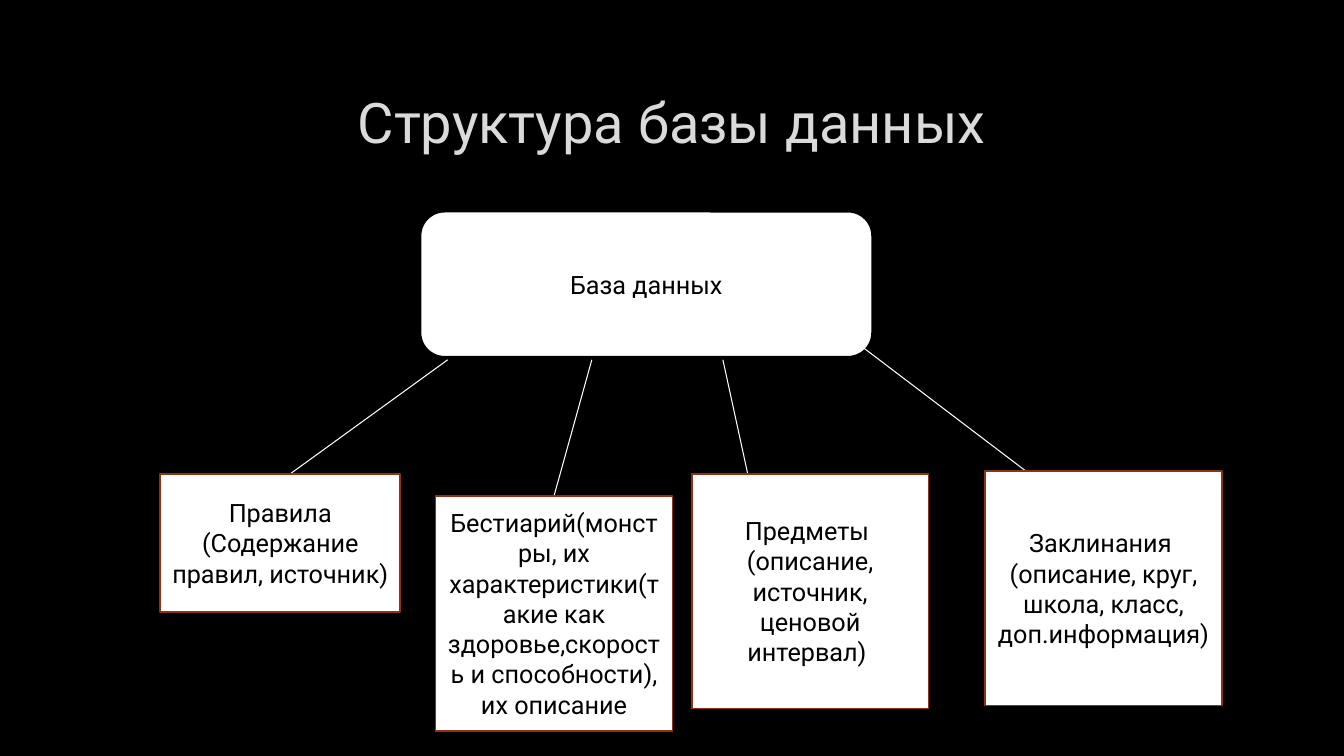
from dataclasses import dataclass

import pptx
import pptx.dml.color
import pptx.enum.shapes
import pptx.enum.text
import pptx.oxml.ns
import pptx.util
from lxml import etree

PX = 9144
RGB = pptx.dml.color.RGBColor
SHAPES = pptx.enum.shapes.MSO_SHAPE


@dataclass(frozen=True)
class Theme:
    font: str = "Roboto"
    background: RGB = RGB(0, 0, 0)
    title: RGB = RGB(0xDA, 0xDA, 0xDA)
    fill: RGB = RGB(255, 255, 255)
    text: RGB = RGB(0, 0, 0)
    root_border: RGB = RGB(0, 0, 0)
    border: RGB = RGB(0x8B, 0x33, 0x14)
    link: RGB = RGB(255, 255, 255)
    title_size: int = 40
    text_size: int = 18
    border_width: float = 1.25
    link_width: float = 0.75


THEME = Theme()

BRANCHES = [
    ((444, 357), (288, 470), (159, 470, 238, 137),
     ["Правила", "(Содержание правил, источник)"]),
    ((587, 357), (552, 492), (432, 492, 235, 233),
     ["Бестиарий(монстры, их характеристики(такие как "
      "здоровье,скорость и способности), их описание"]),
    ((717, 357), (744, 481), (686, 470, 235, 233),
     ["Предметы ", "(описание, источник, ценовой интервал) "]),
    ((855, 344), (1021, 470), (977, 467, 235, 233),
     ["Заклинания ", "(описание, круг, школа, класс, доп.информация) "]),
]


def emu(*lengths):
    return [pptx.util.Emu(n * PX) for n in lengths]


def write(tf, lines, size, color):
    tf.word_wrap = True
    tf.vertical_anchor = pptx.enum.text.MSO_ANCHOR.MIDDLE
    tf.text = "\n".join(lines)
    for p in tf.paragraphs:
        p.alignment = pptx.enum.text.PP_ALIGN.CENTER
        p.font.name = THEME.font
        p.font.size = pptx.util.Pt(size)
        p.font.color.rgb = color


def add_title(s, box, text):
    title = s.shapes.title
    title.left, title.top, title.width, title.height = emu(*box)
    write(title.text_frame, [text], THEME.title_size, THEME.title)


def add_box(s, kind, box, lines, border):
    sp = s.shapes.add_shape(kind, *emu(*box))
    sp.shadow.inherit = False
    sp.fill.solid()
    sp.fill.fore_color.rgb = THEME.fill
    sp.line.color.rgb = border
    sp.line.width = pptx.util.Pt(THEME.border_width)
    write(sp.text_frame, lines, THEME.text_size, THEME.text)
    return sp


def add_link(s, start, end):
    link = s.shapes.add_connector(
        pptx.enum.shapes.MSO_CONNECTOR.STRAIGHT, *emu(*start, *end))
    link.line.color.rgb = THEME.link
    link.line.width = pptx.util.Pt(THEME.link_width)
    etree.SubElement(link._element.spPr, pptx.oxml.ns.qn("a:effectLst"))
    return link


def add_branch(s, start, end, box, lines):
    link = add_link(s, start, end)
    sp = add_box(s, SHAPES.RECTANGLE, box, lines, THEME.border)
    left, top, width, _ = box
    if end[1] == top and abs(end[0] - left - width / 2) < 5:
        link.end_connect(sp, 0)


def main():
    prs = pptx.Presentation()
    prs.slide_width, prs.slide_height = emu(1333, 750)
    s = prs.slides.add_slide(prs.slide_layouts.get_by_name("Title Only"))
    s.background.fill.solid()
    s.background.fill.fore_color.rgb = THEME.background
    add_title(s, (100, 67, 1132, 106), "Структура базы данных")
    add_box(s, SHAPES.ROUNDED_RECTANGLE, (417, 210, 448, 144),
            ["База данных"], THEME.root_border)
    for branch in BRANCHES:
        add_branch(s, *branch)
    prs.save("out.pptx")


if __name__ == "__main__":
    main()
